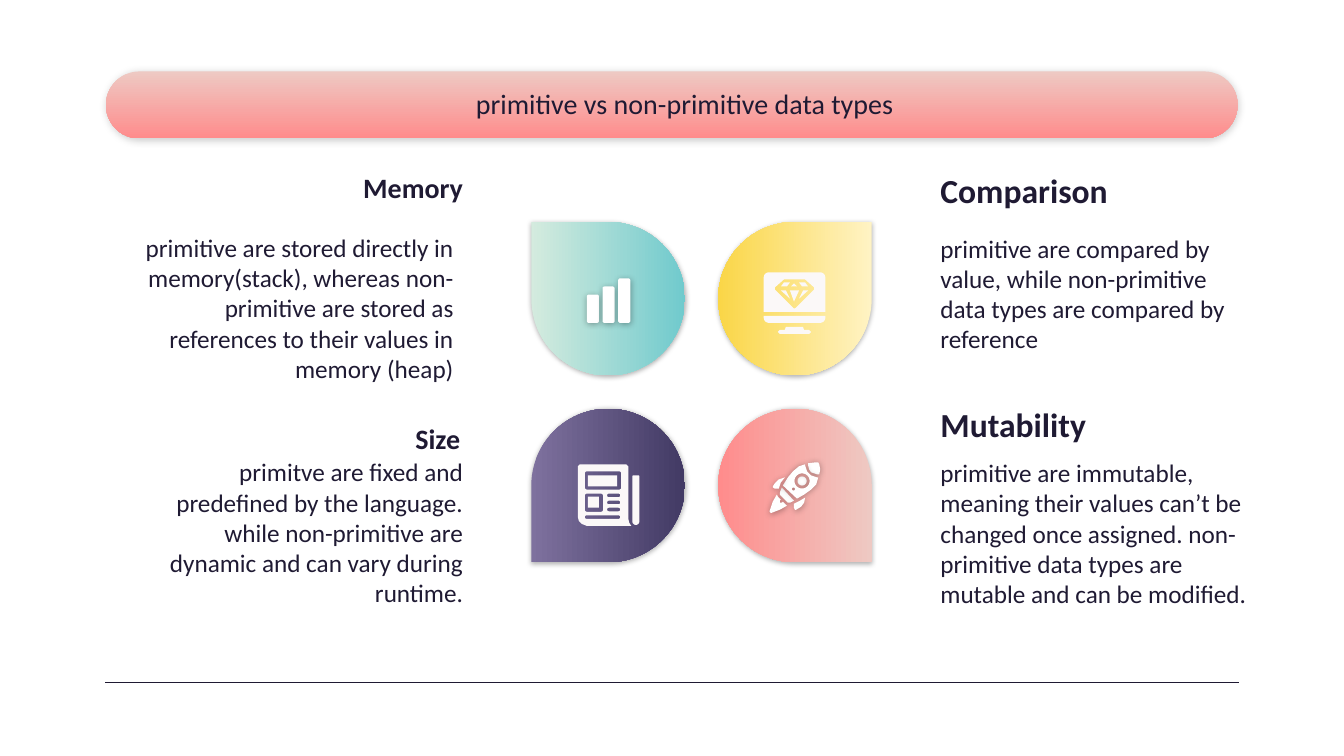
from math import cos, radians, sin

from lxml.etree import SubElement
from pptx import Presentation
from pptx.dml.color import RGBColor
from pptx.enum.shapes import MSO_CONNECTOR, MSO_SHAPE
from pptx.enum.text import MSO_ANCHOR, PP_ALIGN
from pptx.oxml.ns import qn
from pptx.util import Cm, Pt

COLORS = {
    "ink": "1F1A33", "white": "FFFFFF", "soft white": "FBF8F8", "shadow": "000000",
    "blush": "EEC9C3", "coral": "FF8C8C", "mint": "D4EBDE", "teal": "70CACD",
    "cream": "FFF3C4", "yellow": "FAD647", "lilac": "7E719E", "purple": "423A64",
}
FONT = "Calibri"

TITLE = "primitive vs non-primitive data types"
LEFT, RIGHT = PP_ALIGN.RIGHT, PP_ALIGN.LEFT  # each column is set towards the petals
# heading, size, heading box, text, text box; a box is left, top, width, height in cm
TOPICS = [
    (LEFT, "Memory", 20, (3.39, 4.29, 8.61, 1.65),
     "primitive are stored directly in memory(stack), whereas non-primitive are stored "
     "as references to their values in memory (heap)", (2.95, 5.52, 8.81, 2.62)),
    (LEFT, "Size", 20, (3.32, 10.61, 8.61, 1.65),
     "primitve are fixed and predefined by the language. while non-primitive are dynamic "
     "and can vary during runtime.", (3.39, 11.18, 8.61, 2.62)),
    (RIGHT, "Comparison", 24, (23.37, 4.29, 8.61, 1.65),
     "primitive are compared by value, while non-primitive data types are compared "
     "by reference", (23.37, 5.54, 8.61, 2.62)),
    (RIGHT, "Mutability", 24, (23.37, 10.19, 8.61, 1.65),
     "primitive are immutable, meaning their values can’t be changed once assigned. "
     "non-primitive data types are mutable and can be modified.", (23.37, 11.2, 8.61, 2.62)),
]

# Shadows: opacity in percent, blur, distance, direction in degrees
BANNER_SHADOW = (20, 5.6, 0.8, 66)
PETAL_SHADOW = (30, 3.4, 0.8, 66)
ICON_SHADOW = (31, 4.5, 0.8, 69)

PETAL_LEFT, PETAL_TOP, PETAL_SIZE, PETAL_STEP = 13.39, 5.59, 3.87, 4.71
ICON_UNITS = 152  # icon grid units across one petal


def rounded(left, top, right, bottom, top_radius, bottom_radius=None):
    """Outline of a box with rounded corners, as a list of points."""
    low = top_radius if bottom_radius is None else bottom_radius
    high = top_radius
    corners = [(right - high, top + high, high, -90), (right - low, bottom - low, low, 0),
               (left + low, bottom - low, low, 90), (left + high, top + high, high, 180)]
    return [(x + radius * cos(radians(start + turn)), y + radius * sin(radians(start + turn)))
            for x, y, radius, start in corners for turn in range(0, 91, 15)]


# An icon is a list of pieces; a piece is an outline followed by its holes
BARS = [[rounded(left, top, left + 12, 100, 2)] for left, top in [(55, 72), (70.5, 64), (86, 56)]]
MONITOR = [
    [[(75, 61), (72, 64), (78, 64)]], [[(65, 60), (62, 64), (68, 64), (71, 60)]],
    [[(84, 68), (80, 76), (89, 68)]], [[(71, 68), (75, 79), (80, 68)]],
    [[(80, 60), (83, 64), (89, 64), (86, 60)]], [[(62, 68), (71, 76), (67, 68)]],
    [rounded(45, 93, 106, 100, 0, 5)],
    [rounded(45, 50, 106, 89, 5, 0),
     [(65, 57), (86, 57), (95, 65), (95, 67), (77, 85), (75, 86), (74, 85), (56, 67), (56, 65)]],
    [[(67, 104), (84, 104), (85, 107), (90, 107), (92, 109), (90, 111),
      (61, 111), (59, 109), (61, 107), (66, 107)]],
]
NEWSPAPER = [
    [rounded(100, 66, 107, 115, 1, 3.5)],
    [rounded(56, 87, 67, 98, 0)],
    [rounded(56, 66, 85, 77, 0)],
    [[(48, 55), (94, 55), (96, 57), (96, 109), (97, 113), (99, 116), (55, 116),
      (50, 114), (47, 111), (46, 107), (46, 57)],
     rounded(53, 62, 89, 80, 2), rounded(53, 84, 71, 102, 2),
     *[rounded(75, top, 88, top + 3.5, 1.7) for top in (84, 91, 98)],
     rounded(53, 105.5, 88, 109, 1.7)],
]
ROCKET = [
    [[(63, 78), (61, 83), (61, 85), (69, 93), (71, 93), (75, 91)]],
    [[(97, 53), (89, 54), (89, 56), (90, 60), (92, 63), (95, 64), (98, 65), (100, 65),
      (101, 60), (100, 55), (99, 53)]],
    [rounded(78.5, 67, 87.5, 76, 4.5)],
    [[(86, 55), (80, 57), (74, 62), (69, 68), (64, 76), (78, 89), (85, 85), (92, 80),
      (97, 75), (99, 68), (98, 68), (92, 66), (88, 62), (86, 56)],
     rounded(75.5, 64, 90.5, 79, 7.5), rounded(73, 78, 76, 81, 1.5)],
    [[(86, 88), (81, 91), (75, 94), (75, 98), (76, 100), (77, 100), (82, 97), (85, 93)]],
    [[(66, 68), (60, 70), (56, 74), (54, 77), (54, 78), (56, 79), (60, 79), (62, 73)]],
    [[(58, 85), (54, 92), (51, 101), (51, 102), (52, 103), (53, 103), (61, 100), (68, 96),
      (67, 95), (64, 92), (63, 93), (61, 93), (61, 91), (62, 90), (59, 87)]],
]
# column, row, rotation, flipped, gradient, icon, icon colour, icon shadow
PETALS = [
    (0, 0, 270, False, ("mint", "teal"), BARS, "white", ICON_SHADOW),
    (1, 0, 90, True, ("cream", "yellow"), MONITOR, "soft white", None),
    (1, 1, 90, False, ("blush", "coral"), ROCKET, "white", ICON_SHADOW),
    (0, 1, 270, True, ("lilac", "purple"), NEWSPAPER, "soft white", None),
]


def color(name):
    return RGBColor.from_string(COLORS[name])


def finish(shape, shadow):
    """Drop the outline and replace the theme shadow."""
    shape.line.fill.background()
    shape.shadow.inherit = False
    if shadow:
        opacity, blur, distance, direction = shadow
        effects = shape._element.spPr.find(qn("a:effectLst"))
        outer = SubElement(effects, qn("a:outerShdw"), blurRad=str(Pt(blur)),
                           dist=str(Pt(distance)), dir=str(direction * 60000),
                           algn="ctr", rotWithShape="0")
        tint = SubElement(outer, qn("a:srgbClr"), val=COLORS["shadow"])
        SubElement(tint, qn("a:alpha"), val=str(opacity * 1000))


def add_gradient_shape(slide, kind, box, adjustment, gradient, shadow):
    shape = slide.shapes.add_shape(kind, *map(Cm, box))
    shape.adjustments[0] = adjustment
    shape.fill.gradient()
    shape.fill.gradient_angle = 270
    for stop, name in zip(shape.fill.gradient_stops, gradient):
        stop.color.rgb = color(name)
    finish(shape, shadow)
    return shape


def add_icon(slide, left, top, pieces, fill, shadow):
    unit = PETAL_SIZE / ICON_UNITS
    group = slide.shapes.add_group_shape()
    for outlines in pieces:
        placed = [[(Cm(left + x * unit), Cm(top + y * unit)) for x, y in outline]
                  for outline in outlines]
        builder = group.shapes.build_freeform(*placed[0][0])
        builder.add_line_segments(placed[0][1:], close=True)
        for hole in placed[1:]:
            builder.move_to(*hole[0])
            builder.add_line_segments(hole[1:], close=True)
        piece = builder.convert_to_shape()
        piece.fill.solid()
        piece.fill.fore_color.rgb = color(fill)
        finish(piece, shadow)


def add_text(slide, text, box, size, alignment, bold=False, padding=0.33,
             anchor=MSO_ANCHOR.TOP):
    frame = slide.shapes.add_textbox(*map(Cm, box)).text_frame
    frame.word_wrap = True
    frame.vertical_anchor = anchor
    frame.margin_left = frame.margin_right = Cm(0.33)
    frame.margin_top = frame.margin_bottom = Cm(padding)
    paragraph = frame.paragraphs[0]
    paragraph.text = text
    paragraph.alignment = alignment
    paragraph.font.name = FONT
    paragraph.font.size = Pt(size)
    paragraph.font.bold = bold
    paragraph.font.color.rgb = color("ink")


def main():
    presentation = Presentation()
    presentation.slide_width, presentation.slide_height = Cm(33.87), Cm(19.05)
    slide = presentation.slides.add_slide(presentation.slide_layouts[6])

    add_gradient_shape(slide, MSO_SHAPE.ROUNDED_RECTANGLE, (2.67, 1.8, 28.52, 1.69), 0.5,
                       ("blush", "coral"), BANNER_SHADOW)
    rule = slide.shapes.add_connector(MSO_CONNECTOR.STRAIGHT, Cm(2.65), Cm(17.21),
                                      Cm(31.22), Cm(17.21))
    rule.line.color.rgb = color("ink")
    rule.line.width = Pt(0.75)
    SubElement(rule._element.spPr, qn("a:effectLst"))
    add_text(slide, TITLE, (8.48, 1.75, 17.55, 1.7), 20, PP_ALIGN.CENTER,
             anchor=MSO_ANCHOR.MIDDLE)

    for column, row, rotation, flipped, gradient, icon, fill, icon_shadow in PETALS:
        left, top = PETAL_LEFT + column * PETAL_STEP, PETAL_TOP + row * PETAL_STEP
        petal = add_gradient_shape(slide, MSO_SHAPE.TEAR, (left, top, PETAL_SIZE, PETAL_SIZE),
                                   1, gradient, PETAL_SHADOW)
        petal.rotation = rotation
        if flipped:
            petal._element.spPr.xfrm.set("flipH", "1")
        add_icon(slide, left, top, icon, fill, icon_shadow)

    for alignment, heading, size, heading_box, text, text_box in TOPICS:
        add_text(slide, text, text_box, 18, alignment)
        add_text(slide, heading, heading_box, size, alignment, bold=True, padding=0)

    presentation.save("out.pptx")


if __name__ == "__main__":
    main()
